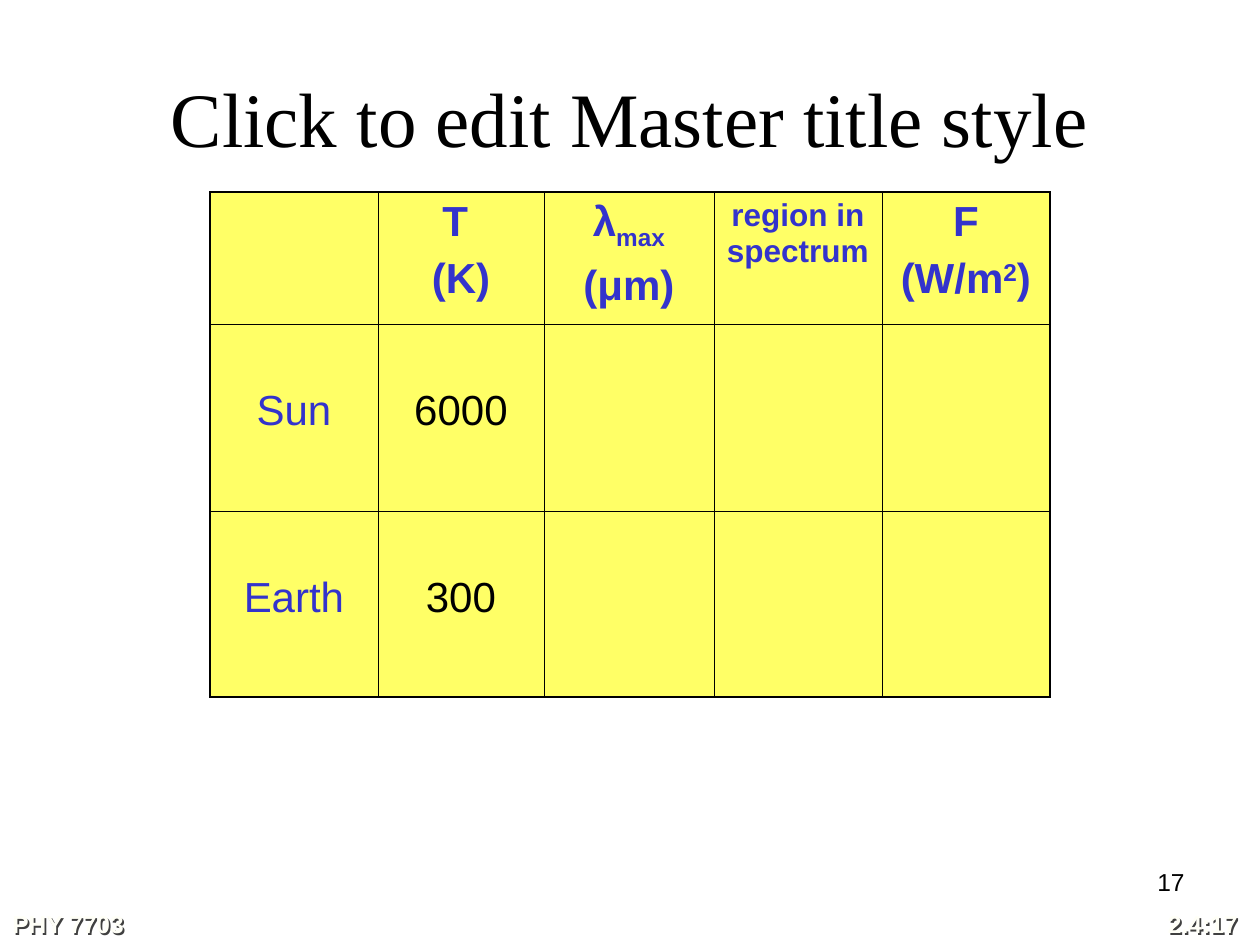
from dataclasses import dataclass

from lxml.etree import SubElement
from pptx import Presentation
from pptx.dml.color import RGBColor as Color
from pptx.enum.text import MSO_ANCHOR as Anchor, PP_ALIGN as Align
from pptx.oxml import parse_xml
from pptx.oxml.ns import nsdecls, qn
from pptx.util import Inches, Pt


@dataclass(frozen=True)
class Theme:
    black: str = "000000"
    blue: str = "3333CC"
    yellow: str = "FFFF66"
    footer: str = "FFFFF7"
    shade: str = "404040"
    serif: str = "Times New Roman"
    sans: str = "Arial"
    title: int = 44
    body: int = 24
    label: int = 18
    small: int = 14
    outer: float = 1.08
    inner: float = 0.45


THEME = Theme()
SCALE = Inches(10) / 1260
COLUMNS = (168, 166, 170, 168, 168)
ROWS = (132, 187, 186)
SUBSCRIPT, SUPERSCRIPT = -25000, 30000
HEADERS = (
    (),
    ([("T ", 0)], [("(K)", 0)]),
    ([("λ", 0), ("max", SUBSCRIPT)], [("(μm)", 0)]),
    ([("region in spectrum", 0)],),
    ([("F", 0)], [("(W/m", 0), ("2", SUPERSCRIPT), (")", 0)]),
)
BODIES = (("Sun", "6000"), ("Earth", "300"))


def px(length):
    return round(length * SCALE)


def set_values(target, values):
    for name, value in values.items():
        setattr(target, name, value)


def add_run(para, text, size, color, bold=False, face=THEME.sans, baseline=0):
    span = para.add_run()
    span.text = text
    set_values(span.font, {"name": face, "size": Pt(size), "bold": bold})
    span.font.color.rgb = Color.from_string(color)
    if baseline:
        span.font._element.set("baseline", str(baseline))


def add_shadow(box):
    effects = parse_xml(
        f'<a:effectLst {nsdecls("a")}><a:outerShdw dist="{px(2.5)}" dir="2700000">'
        f'<a:srgbClr val="{THEME.shade}"/></a:outerShdw></a:effectLst>'
    )
    box._element.spPr.append(effects)


def format_title(page):
    title = page.shapes.title
    set_values(title, {"left": px(63), "top": px(38), "width": px(1134), "height": px(157)})
    set_values(title.text_frame, {"vertical_anchor": Anchor.MIDDLE, "word_wrap": True})
    para = title.text_frame.paragraphs[0]
    para.alignment = Align.CENTER
    add_run(para, "Click to edit Master title style", THEME.title, THEME.black, face=THEME.serif)


def add_label(page, text, bounds, align, color=THEME.black, bold=False):
    box = page.shapes.add_textbox(*map(px, bounds))
    box.text_frame.word_wrap = True
    para = box.text_frame.paragraphs[0]
    para.alignment = align
    add_run(para, text, THEME.small, color, bold)
    return box


def add_footer(page, text, left, align):
    add_shadow(add_label(page, text, (left, 903, 399, 42), align, THEME.footer, True))


def set_borders(cell, row, column):
    outer_sides = {
        "L": column == 0,
        "R": column == len(COLUMNS) - 1,
        "T": row == 0,
        "B": row == len(ROWS) - 1,
    }
    properties = cell._tc.get_or_add_tcPr()
    for index, (side, is_outer) in enumerate(outer_sides.items()):
        width = Pt(THEME.outer if is_outer else THEME.inner)
        line = parse_xml(f'<a:ln{side} {nsdecls("a")} w="{width}"/>')
        fill = SubElement(line, qn("a:solidFill"))
        SubElement(fill, qn("a:srgbClr"), val=THEME.black)
        properties.insert(index, line)


def fill_header(cell, lines, size):
    frame = cell.text_frame
    for index, line in enumerate(lines):
        para = frame.add_paragraph() if index else frame.paragraphs[0]
        para.alignment = Align.CENTER
        if index:
            para.space_before = Pt(6)
        for text, baseline in line:
            add_run(para, text, size, THEME.blue, True, baseline=baseline)


def fill_body(cell, text, color):
    cell.margin_top = px(64)
    para = cell.text_frame.paragraphs[0]
    para.alignment = Align.CENTER
    add_run(para, text, THEME.body, color)


def add_radiation_table(page):
    bounds = (210, 192, sum(COLUMNS), sum(ROWS))
    table = page.shapes.add_table(len(ROWS), len(COLUMNS), *map(px, bounds)).table
    set_values(table, {"first_row": False, "horz_banding": False})
    for column, width in zip(table.columns, COLUMNS):
        column.width = px(width)
    for row, height in zip(table.rows, ROWS):
        row.height = px(height)
    for row in range(len(ROWS)):
        for column in range(len(COLUMNS)):
            cell = table.cell(row, column)
            cell.fill.solid()
            cell.fill.fore_color.rgb = Color.from_string(THEME.yellow)
            set_borders(cell, row, column)
    for column, lines in enumerate(HEADERS):
        size = THEME.label if len(lines) == 1 else THEME.body
        fill_header(table.cell(0, column), lines, size)
    for row, (name, temperature) in enumerate(BODIES, start=1):
        fill_body(table.cell(row, 0), name, THEME.blue)
        fill_body(table.cell(row, 1), temperature, THEME.black)


def main():
    deck = Presentation()
    set_values(deck, {"slide_width": px(1260), "slide_height": px(945)})
    page = deck.slides.add_slide(deck.slide_layouts[5])
    format_title(page)
    add_label(page, "17", (903, 861, 294, 66), Align.RIGHT)
    add_footer(page, "PHY 7703", 0, Align.LEFT)
    add_footer(page, "2.4:17", 851, Align.RIGHT)
    add_radiation_table(page)
    deck.save("out.pptx")


if __name__ == "__main__":
    main()
